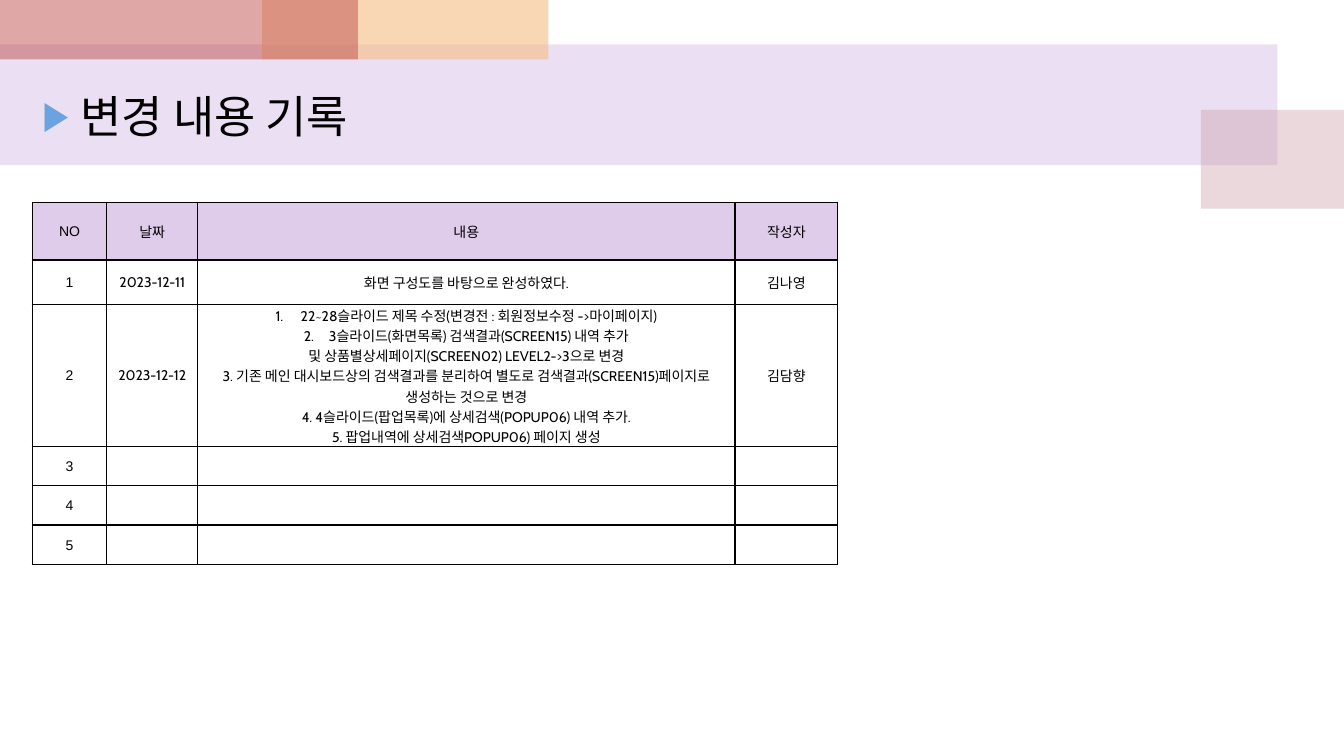
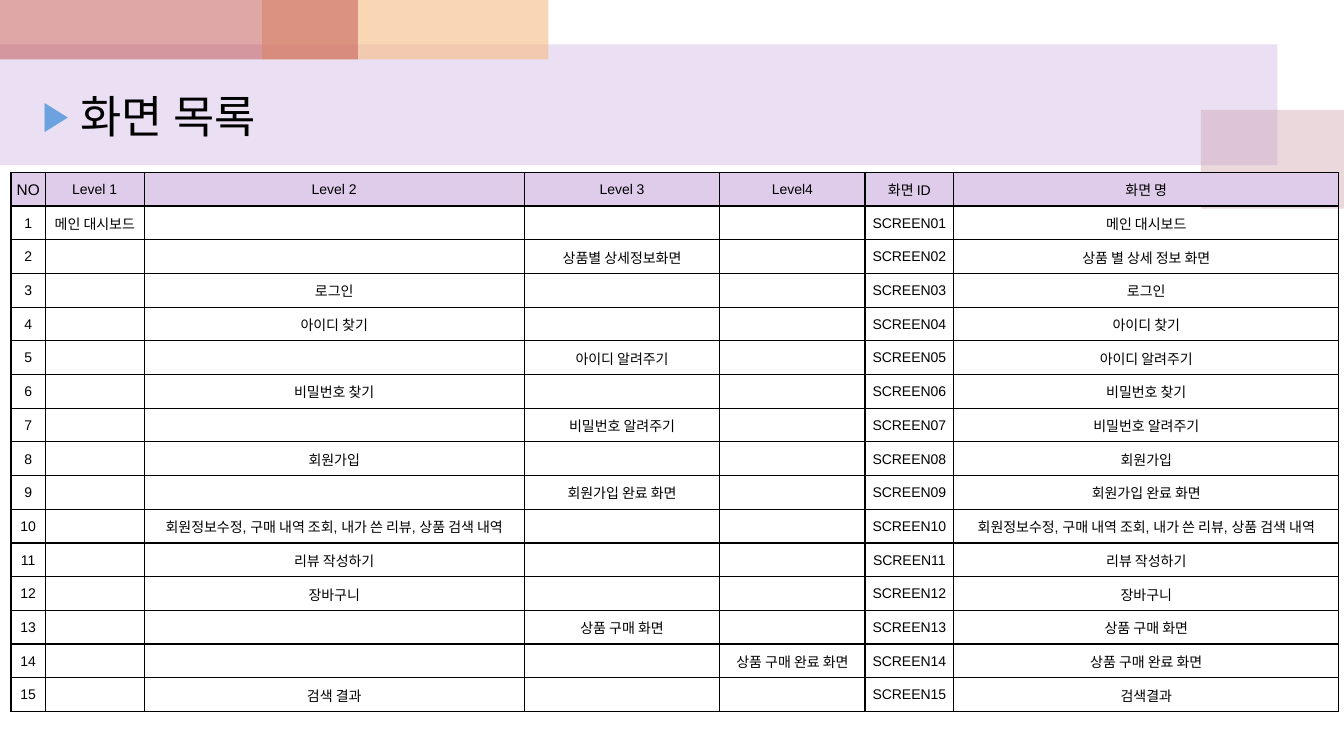
from dataclasses import dataclass
from typing import NamedTuple

from lxml import etree
from pptx import Presentation
from pptx import util as u
from pptx.dml.color import RGBColor
from pptx.enum import shapes, text
from pptx.oxml.ns import qn

HUES = {
    "lilac": "BF98D8", "rose": "CC9EAC", "peach": "F5BC83", "red": "C0504D",
    "head": "DFCCEB", "mark": "6BA2DF", "ink": "000000",
}
SANS, CABIN = "Arial", "Cabin"
PLAIN = "{2D5ABB26-0587-4C30-8999-92F81FD0307C}"  # table style without grid


class Band(NamedTuple):
    left: float
    top: float
    width: float
    height: float
    hue: str
    alpha: int


class Screen(NamedTuple):
    level: int
    menu: str
    name: str


@dataclass
class Grid:
    left: float
    top: float
    cols: list[float]
    rows: list[float]
    cells: list[list[str]]
    font: str = SANS
    corner: int = 10


BANDS = [
    Band(0, 0.44, 12.67, 1.2, "lilac", 30),
    Band(11.91, 1.09, 1.43, 0.98, "rose", 40),
    Band(2.6, 0, 2.84, 0.59, "peach", 60),
    Band(0, 0, 3.55, 0.59, "red", 50),
]

# Change log
NOTES = """22~28슬라이드 제목 수정(변경전 : 회원정보수정 ->마이페이지)
3슬라이드(화면목록) 검색결과(SCREEN15) 내역 추가
및 상품별상세페이지(SCREEN02) LEVEL2->3으로 변경
3. 기존 메인 대시보드상의 검색결과를 분리하여 별도로 검색결과(SCREEN15)페이지로 생성하는 것으로 변경
4. 4슬라이드(팝업목록)에 상세검색(POPUP06) 내역 추가.
5. 팝업내역에 상세검색POPUP06) 페이지 생성"""
LOG = Grid(
    0.32, 2.01, [0.74, 0.9, 5.33, 1.02], [0.57, 0.44, 1.41] + [0.39] * 3,
    [["NO", "날짜", "내용", "작성자"],
     ["1", "2023-12-11", "화면 구성도를 바탕으로 완성하였다.", "김나영"],
     ["2", "2023-12-12", NOTES, "김담향"]]
    + [[str(no), "", "", ""] for no in range(3, 6)],
    font=CABIN,
)

# Screen list
PAGES = "회원정보수정, 구매 내역 조회, 내가 쓴 리뷰, 상품 검색 내역"
SCREENS = [
    Screen(1, "메인 대시보드", "메인 대시보드"),
    Screen(3, "상품별 상세정보화면", "상품 별 상세 정보 화면"),
    Screen(2, "로그인", "로그인"),
    Screen(2, "아이디 찾기", "아이디 찾기"),
    Screen(3, "아이디 알려주기", "아이디 알려주기"),
    Screen(2, "비밀번호 찾기", "비밀번호 찾기"),
    Screen(3, "비밀번호 알려주기", "비밀번호 알려주기"),
    Screen(2, "회원가입", "회원가입"),
    Screen(3, "회원가입 완료 화면", "회원가입 완료 화면"),
    Screen(2, PAGES, PAGES),
    Screen(2, "리뷰 작성하기", "리뷰 작성하기"),
    Screen(2, "장바구니", "장바구니"),
    Screen(3, "상품 구매 화면", "상품 구매 화면"),
    Screen(4, "상품 구매 완료 화면", "상품 구매 완료 화면"),
    Screen(2, "검색 결과", "검색결과"),
]


def screen_row(no: int, item: Screen) -> list[str]:
    menus = [item.menu if item.level == lev else "" for lev in range(1, 5)]
    return [str(no), *menus, f"SCREEN{no:02}", item.name]


LIST = Grid(
    0.11, 1.71, [0.34, 0.98, 3.77, 1.94, 1.44, 0.88, 3.82], [5.35 / 16] * 16,
    [["NO", "Level 1", "Level 2", "Level 3", "Level4", "화면 ID", "화면 명"]]
    + [screen_row(no, item) for no, item in enumerate(SCREENS, 1)],
    corner=11,
)


def rgb(hue: str) -> RGBColor:
    return RGBColor.from_string(HUES[hue])


def node(parent, tag: str, **attrs):
    return etree.SubElement(parent, qn(tag), {k: str(v) for k, v in attrs.items()})


def write(frame, words: str, size: float = 10, font: str = SANS,
          align=text.PP_ALIGN.CENTER, anchor=text.MSO_ANCHOR.MIDDLE) -> None:
    frame.word_wrap = True
    frame.vertical_anchor = anchor
    for i, line in enumerate(words.split("\n")):
        para = frame.add_paragraph() if i else frame.paragraphs[0]
        para.alignment = align
        if not line:  # an empty cell keeps the small line height
            node(para._p, "a:endParaRPr", sz=int(size * 100))
            continue
        run = para.add_run()
        run.text = line
        run.font.size = u.Pt(size)
        run.font.name = font
        run.font.color.rgb = rgb("ink")


def indent(para, gap: float):
    props = para._p.get_or_add_pPr()
    props.set("marL", str(u.Inches(gap)))
    props.set("indent", str(-u.Inches(gap)))
    return props


def edge(cell) -> None:
    props = cell._tc.get_or_add_tcPr()
    for side in "LRTB":
        line = node(props, f"a:ln{side}", w=u.Pt(1))
        node(node(line, "a:solidFill"), "a:srgbClr", val=HUES["ink"])


def add_bands(slide, layout) -> None:
    """Place the bands behind everything on the layout."""
    for i, band in enumerate(BANDS):
        box = slide.shapes.add_shape(
            shapes.MSO_SHAPE.RECTANGLE, *map(u.Inches, band[:4]))
        box.shadow.inherit = False
        box.line.fill.background()
        box.fill.solid()
        box.fill.fore_color.rgb = rgb(band.hue)
        tint = box.element.find(".//" + qn("a:srgbClr"))
        node(tint, "a:alpha", val=band.alpha * 1000)
        layout.shapes.element.insert(2 + i, box.element)


def add_title(slide, words: str) -> None:
    title = slide.shapes.title
    title.left, title.top, title.width, title.height = map(
        u.Inches, (0.32, 0.83, 6.77, 0.32))
    frame = title.text_frame
    frame.auto_size = text.MSO_AUTO_SIZE.NONE
    write(frame, words, size=32, font=CABIN,
          align=text.PP_ALIGN.LEFT, anchor=text.MSO_ANCHOR.TOP)
    props = indent(frame.paragraphs[0], 0.38)
    node(node(props, "a:buClr"), "a:srgbClr", val=HUES["mark"])
    node(props, "a:buSzPct", val=90000)
    node(props, "a:buFont", typeface=SANS)
    node(props, "a:buChar", char="▶")


def add_grid(slide, grid: Grid):
    table = slide.shapes.add_table(
        len(grid.rows), len(grid.cols), u.Inches(grid.left), u.Inches(grid.top),
        u.Inches(sum(grid.cols)), u.Inches(sum(grid.rows))).table
    table.first_row = table.horz_banding = False
    table._tbl.tblPr.find(qn("a:tableStyleId")).text = PLAIN
    for col, width in zip(table.columns, grid.cols):
        col.width = u.Inches(width)
    for r, (row, height) in enumerate(zip(table.rows, grid.rows)):
        row.height = u.Inches(height)
        for c, words in enumerate(grid.cells[r]):
            cell = table.cell(r, c)
            label = r == 0 or c == 0
            cell.margin_left = cell.margin_right = u.Inches(0.04 if label else 0.01)
            cell.margin_top, cell.margin_bottom = u.Inches(0.01), 0
            write(cell.text_frame, words, font=SANS if label else grid.font,
                  size=grid.corner if r == c == 0 else 10)
            cell.vertical_anchor = text.MSO_ANCHOR.MIDDLE
            edge(cell)
            if r == 0:
                cell.fill.solid()
                cell.fill.fore_color.rgb = rgb("head")
            else:
                cell.fill.background()
    return table


def main() -> None:
    deck = Presentation()
    deck.slide_width, deck.slide_height = u.Inches(13.33), u.Inches(7.5)
    layout = deck.slide_layouts.get_by_name("Title Only")

    # Change log
    log = deck.slides.add_slide(layout)
    add_bands(log, layout)
    add_title(log, "변경 내용 기록")
    table = add_grid(log, LOG)
    for para in table.cell(2, 2).text_frame.paragraphs[:2]:
        node(indent(para, 0.25), "a:buAutoNum", type="arabicPeriod")

    # Screen list
    screens = deck.slides.add_slide(layout)
    add_title(screens, "화면 목록")
    add_grid(screens, LIST)

    deck.save("out.pptx")


if __name__ == "__main__":
    main()
